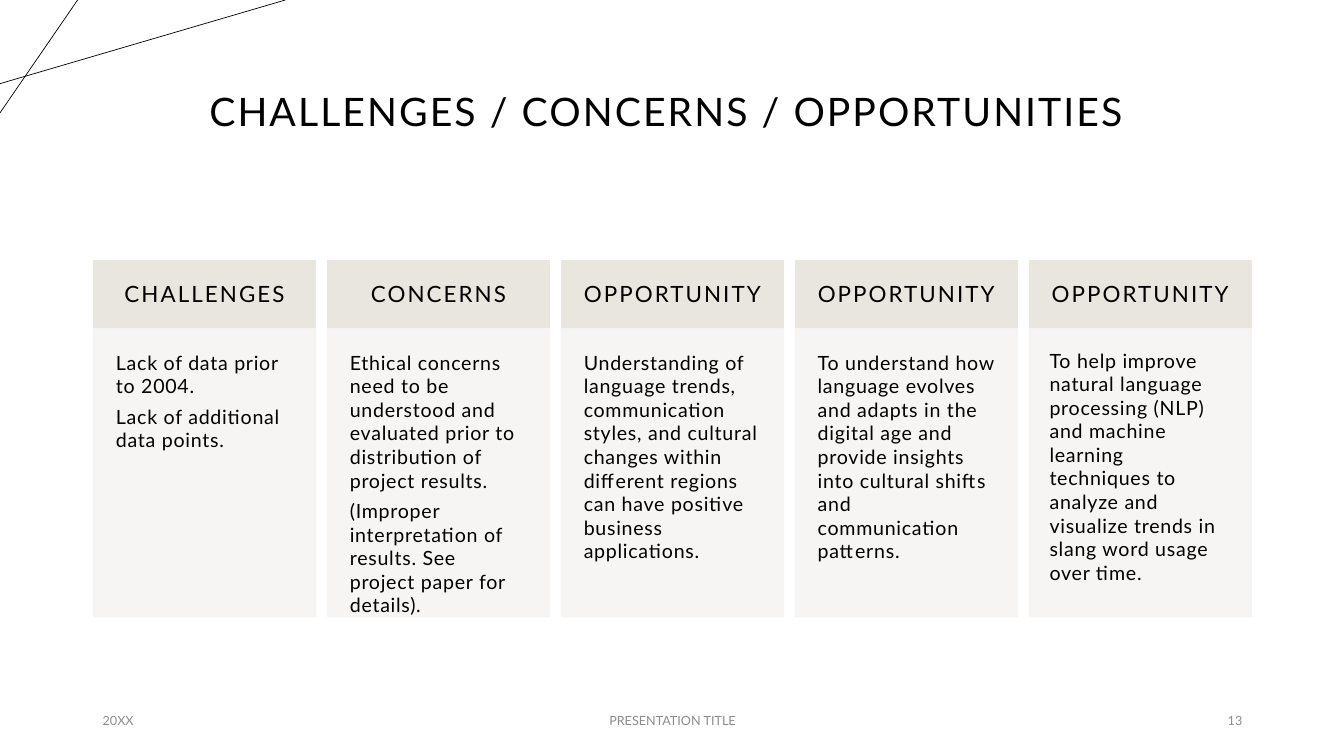
from dataclasses import dataclass

from lxml import etree
from pptx import Presentation
from pptx.dml.color import RGBColor
from pptx.enum import shapes, text
from pptx.oxml import ns
from pptx.util import Inches, Pt


@dataclass(frozen=True)
class Theme:
    font: str = "Lato"
    ink: str = "000000"
    muted: str = "8C8C8C"
    header_fill: str = "E9E6DF"
    body_fill: str = "F7F5F3"
    title_size: int = 28
    header_size: int = 16
    body_size: int = 14
    footer_size: int = 9


CARDS = [
    ("CHALLENGES", ["Lack of data prior to 2004.", "Lack of additional data points."], 0.22),
    ("CONCERNS", [
        "Ethical concerns need to be understood and evaluated prior to distribution of project results.",
        "(Improper interpretation of results. See project paper for details).",
    ], 0.22),
    ("OPPORTUNITY", [
        "Understanding of language trends, communication styles, and cultural changes "
        "within different regions can have positive business applications.",
    ], 0.22),
    ("OPPORTUNITY", [
        "To understand how language evolves and adapts in the digital age and provide "
        "insights into cultural shifts and communication patterns.",
    ], 0.22),
    ("OPPORTUNITY", [
        "To help improve natural language processing (NLP) and machine learning "
        "techniques to analyze and visualize trends in slang word usage over time.",
    ], 0.2),
]
CARD_LEFT, CARD_TOP, CARD_WIDTH, CARD_PITCH = 0.93, 2.59, 2.2, 2.32
HEADER_HEIGHT, BODY_HEIGHT = 0.67, 2.86

LEFT, CENTER, RIGHT = text.PP_ALIGN.LEFT, text.PP_ALIGN.CENTER, text.PP_ALIGN.RIGHT
TOP, MIDDLE = text.MSO_ANCHOR.TOP, text.MSO_ANCHOR.MIDDLE


class SlideBuilder:
    def __init__(self, slide, theme):
        self.slide = slide
        self.theme = theme

    def set_text(self, shape, lines, size, color=None, align=LEFT, anchor=MIDDLE,
                 inset=None, tracking=0, line_spacing=1.0, space_after=0):
        """Fill a shape with paragraphs; tracking is letter spacing in points."""
        frame = shape.text_frame
        frame.word_wrap = True
        frame.auto_size = text.MSO_AUTO_SIZE.NONE
        frame.vertical_anchor = anchor
        if inset is not None:
            frame.margin_left = frame.margin_right = Inches(inset)
            frame.margin_top = frame.margin_bottom = Inches(inset)
        frame.text = "\n".join(lines)
        for paragraph in frame.paragraphs:
            paragraph.alignment = align
            paragraph.line_spacing = line_spacing
            paragraph.space_before = Pt(0)
            paragraph.space_after = Pt(space_after)
            for run in paragraph.runs:
                run.font.name = self.theme.font
                run.font.size = Pt(size)
                run.font.color.rgb = RGBColor.from_string(color or self.theme.ink)
                run._r.get_or_add_rPr().set("spc", str(int(tracking * 100)))

    def title(self, words, left, top, width, height):
        shape = self.slide.shapes.title
        shape.left, shape.top = Inches(left), Inches(top)
        shape.width, shape.height = Inches(width), Inches(height)
        self.set_text(shape, [words], self.theme.title_size, align=CENTER,
                      tracking=1.5, line_spacing=0.9)

    def line(self, start, end):
        connector = self.slide.shapes.add_connector(
            shapes.MSO_CONNECTOR.STRAIGHT, *map(Inches, start + end))
        connector.line.color.rgb = RGBColor.from_string(self.theme.ink)
        connector.line.width = Pt(0.5)
        etree.SubElement(connector._element.spPr, ns.qn("a:effectLst"))

    def panel(self, left, top, width, height, color, opacity=100):
        shape = self.slide.shapes.add_shape(
            shapes.MSO_SHAPE.RECTANGLE, *map(Inches, (left, top, width, height)))
        shape.shadow.inherit = False
        shape.fill.solid()
        shape.fill.fore_color.rgb = RGBColor.from_string(color)
        shape.line.color.rgb = RGBColor.from_string(color)
        shape.line.width = Pt(1)
        if opacity < 100:
            for tone in shape._element.spPr.iter(ns.qn("a:srgbClr")):
                etree.SubElement(tone, ns.qn("a:alpha"), val=str(opacity * 1000))
        return shape

    def card(self, left, heading, lines, inset):
        theme = self.theme
        header = self.panel(left, CARD_TOP, CARD_WIDTH, HEADER_HEIGHT, theme.header_fill)
        self.set_text(header, [heading], theme.header_size, align=CENTER, inset=0.17,
                      tracking=1.5, line_spacing=0.9)
        body = self.panel(left, CARD_TOP + HEADER_HEIGHT, CARD_WIDTH, BODY_HEIGHT,
                          theme.body_fill, opacity=90)
        self.set_text(body, lines, theme.body_size, anchor=TOP, inset=inset,
                      tracking=0.5, space_after=5)

    def footer(self, words, left, width, align):
        box = self.slide.shapes.add_textbox(*map(Inches, (left, 6.95, width, 0.4)))
        self.set_text(box, [words], self.theme.footer_size, self.theme.muted, align)


def main():
    presentation = Presentation()
    presentation.slide_width, presentation.slide_height = Inches(13.33), Inches(7.5)
    title_only = presentation.slide_layouts[5]
    builder = SlideBuilder(presentation.slides.add_slide(title_only), Theme())

    builder.line((0, 0.83), (2.83, 0))
    builder.line((0.77, 0), (0, 1.12))
    builder.title("CHALLENGES / CONCERNS / OPPORTUNITIES ", 0.92, 0.4, 11.5, 1.45)
    for index, (heading, lines, inset) in enumerate(CARDS):
        builder.card(CARD_LEFT + index * CARD_PITCH, heading, lines, inset)
    builder.footer("20XX", 0.92, 3, LEFT)
    builder.footer("PRESENTATION TITLE", 4.42, 4.5, CENTER)
    builder.footer("13", 9.42, 3, RIGHT)

    presentation.save("out.pptx")


if __name__ == "__main__":
    main()
